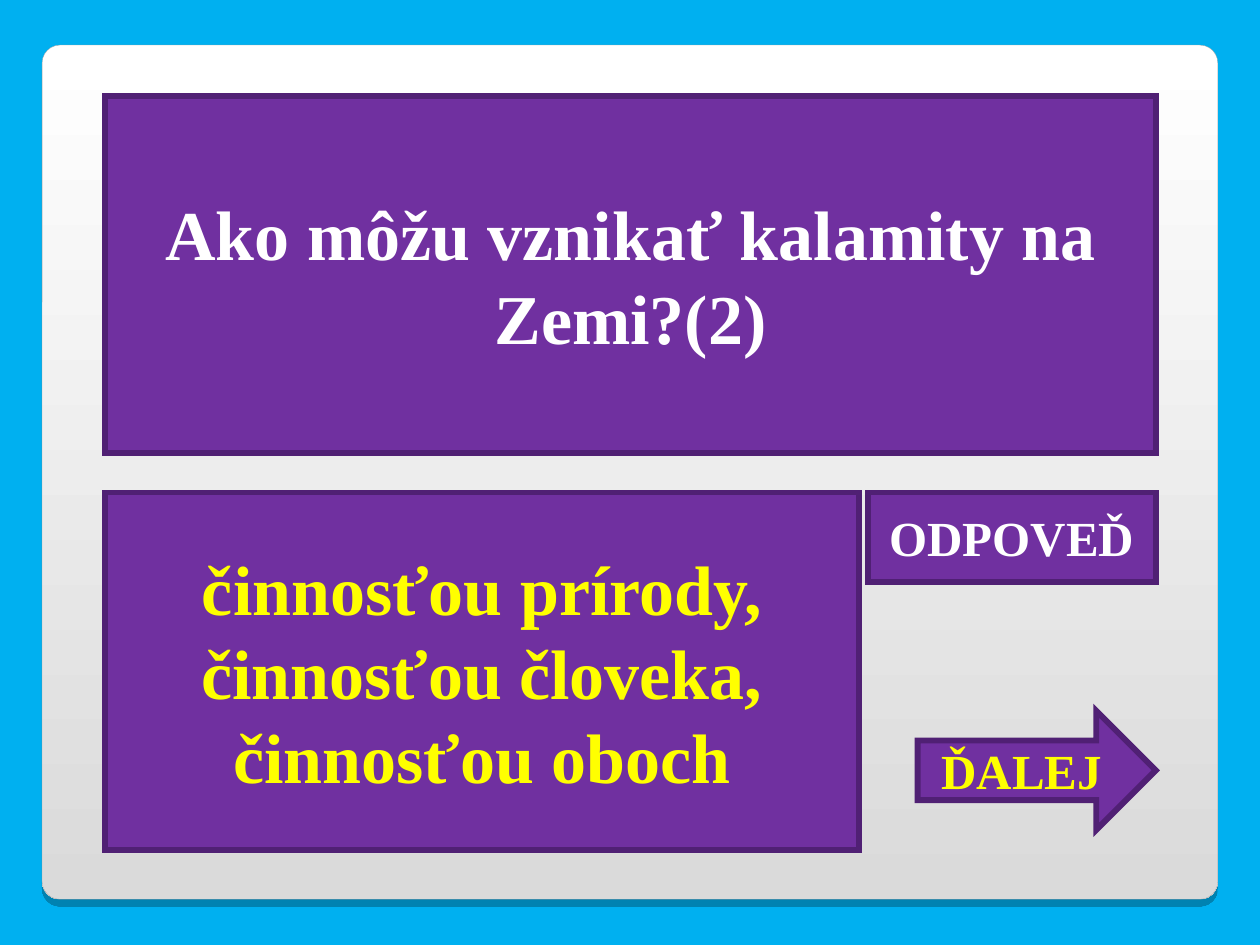
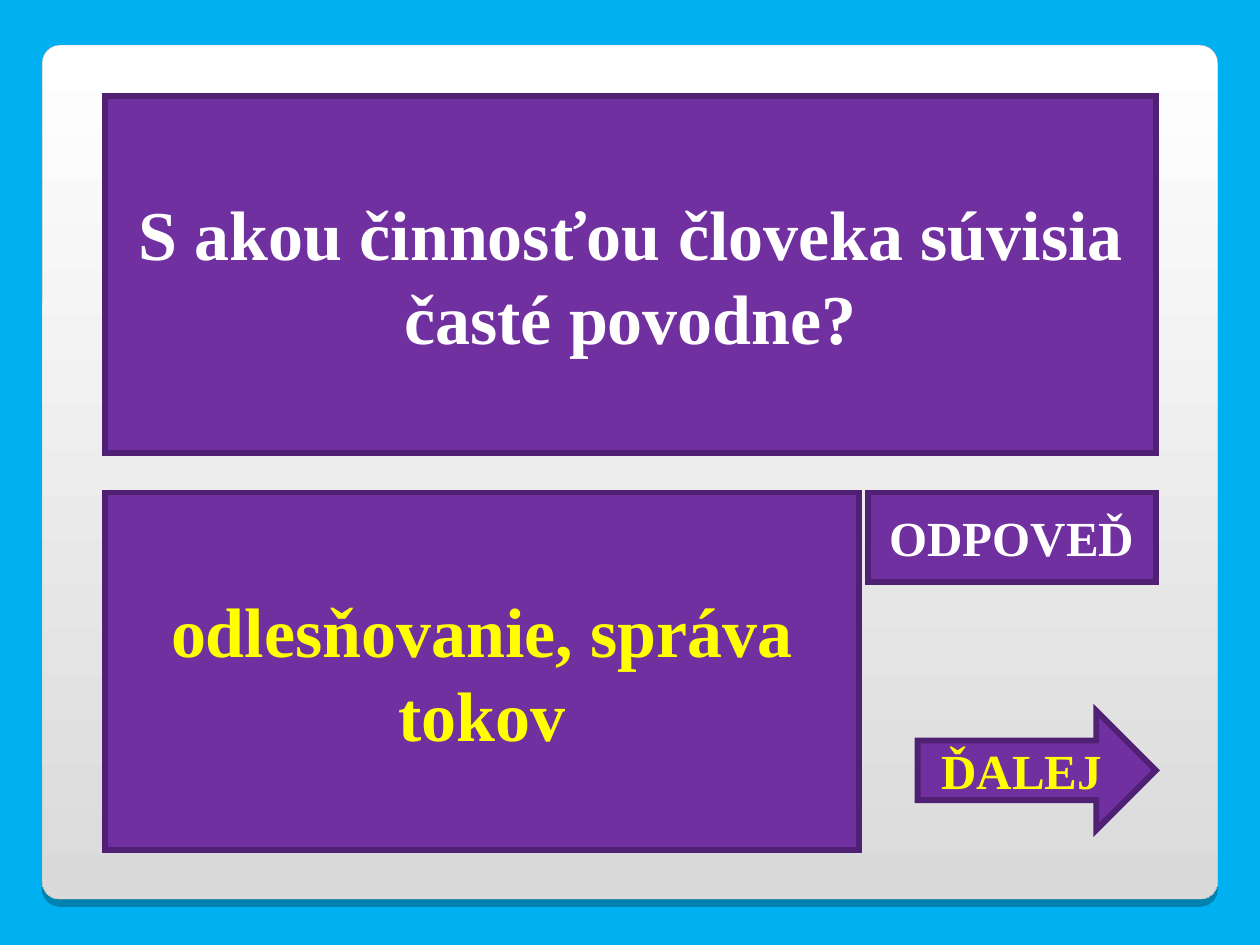
from dataclasses import dataclass

from lxml import etree
from pptx import Presentation
from pptx.dml import color
from pptx.enum import shapes, text
from pptx.oxml import ns
from pptx.util import Cm, Pt

SKY = "00B0F0"
PURPLE = "7030A0"
DARK_PURPLE = "502074"
WHITE = "FFFFFF"
YELLOW = "FFFF00"
SILVER = "DADADA"
GREY = "A4A3A3"
FONT = "Times New Roman"

LEFT, RIGHT = 2.12, 23.3
QUESTION_TOP, ANSWER_TOP, NEXT_TOP = 1.93, 9.93, 14.33
PANEL_HEIGHT = 7.21
BUTTON_WIDTH, NEXT_WIDTH = 5.8, 4.8


@dataclass(frozen=True)
class Panel:
    left: float
    top: float
    width: float
    height: float
    size: int
    ink: str
    outline: shapes.MSO_SHAPE = shapes.MSO_SHAPE.RECTANGLE


@dataclass(frozen=True)
class Quiz:
    question: str
    answer: str


QUESTION = Panel(LEFT, QUESTION_TOP, RIGHT - LEFT, PANEL_HEIGHT, 40, WHITE)
ANSWER = Panel(LEFT, ANSWER_TOP, 15.19, PANEL_HEIGHT, 40, YELLOW)
REVEAL = Panel(RIGHT - BUTTON_WIDTH, ANSWER_TOP, BUTTON_WIDTH, 1.8, 28, WHITE)
NEXT = Panel(RIGHT - NEXT_WIDTH, NEXT_TOP, NEXT_WIDTH, 2.4, 28, YELLOW,
             shapes.MSO_SHAPE.RIGHT_ARROW)

QUIZZES = [
    Quiz("Ako môžu vznikať kalamity na Zemi?(2)",
         "činnosťou prírody, činnosťou človeka, činnosťou oboch"),
    Quiz("S akou činnosťou človeka súvisia časté povodne?",
         "odlesňovanie, správa tokov"),
]


def rgb(value: str) -> color.RGBColor:
    return color.RGBColor.from_string(value)


def add_outline(slide, outline, left: float, top: float, width: float,
                height: float, line: str, weight: float):
    shape = slide.shapes.add_shape(outline, Cm(left), Cm(top), Cm(width), Cm(height))
    shape.shadow.inherit = False
    shape.line.color.rgb = rgb(line)
    shape.line.width = Pt(weight)
    return shape


def add_card(slide) -> None:
    card = add_outline(slide, shapes.MSO_SHAPE.ROUNDED_RECTANGLE,
                       0.85, 0.91, 23.7, 17.22, GREY, 0.17)
    card.adjustments[0] = 0.021
    card.fill.gradient()
    card.fill.gradient_angle = 270
    for stop, tint in zip(card.fill.gradient_stops, (WHITE, SILVER)):
        stop.color.rgb = rgb(tint)
    for stop, position in zip(card.fill.gradient_stops, (0, 1)):
        stop.position = position
    effects = card._element.spPr.find(ns.qn("a:effectLst"))
    shadow = etree.SubElement(effects, ns.qn("a:outerShdw"), blurRad="0",
                              dist=str(Pt(4)), dir="5400000", algn="ctr",
                              rotWithShape="0")
    black = etree.SubElement(shadow, ns.qn("a:srgbClr"), val="000000")
    etree.SubElement(black, ns.qn("a:alpha"), val="25000")


def add_panel(slide, panel: Panel, wording: str) -> None:
    shape = add_outline(slide, panel.outline, panel.left, panel.top,
                        panel.width, panel.height, DARK_PURPLE, 3.34)
    shape.fill.solid()
    shape.fill.fore_color.rgb = rgb(PURPLE)
    line = shape._element.spPr.find(ns.qn("a:ln"))
    etree.SubElement(line, ns.qn("a:miter"), lim="800000")
    frame = shape.text_frame
    frame.word_wrap = True
    frame.vertical_anchor = text.MSO_ANCHOR.MIDDLE
    frame.text = wording
    paragraph = frame.paragraphs[0]
    paragraph.alignment = text.PP_ALIGN.CENTER
    font = paragraph.runs[0].font
    font.name = FONT
    font.size = Pt(panel.size)
    font.bold = True
    font.color.rgb = rgb(panel.ink)


def add_quiz(deck, quiz: Quiz) -> None:
    slide = deck.slides.add_slide(deck.slide_layouts[6])
    slide.background.fill.solid()
    slide.background.fill.fore_color.rgb = rgb(SKY)
    add_card(slide)
    add_panel(slide, QUESTION, quiz.question)
    add_panel(slide, ANSWER, quiz.answer)
    add_panel(slide, REVEAL, "ODPOVEĎ")
    add_panel(slide, NEXT, "ĎALEJ")


def main() -> None:
    deck = Presentation()
    deck.slide_width, deck.slide_height = Cm(25.4), Cm(19.05)
    for quiz in QUIZZES:
        add_quiz(deck, quiz)
    deck.save("out.pptx")


if __name__ == "__main__":
    main()
